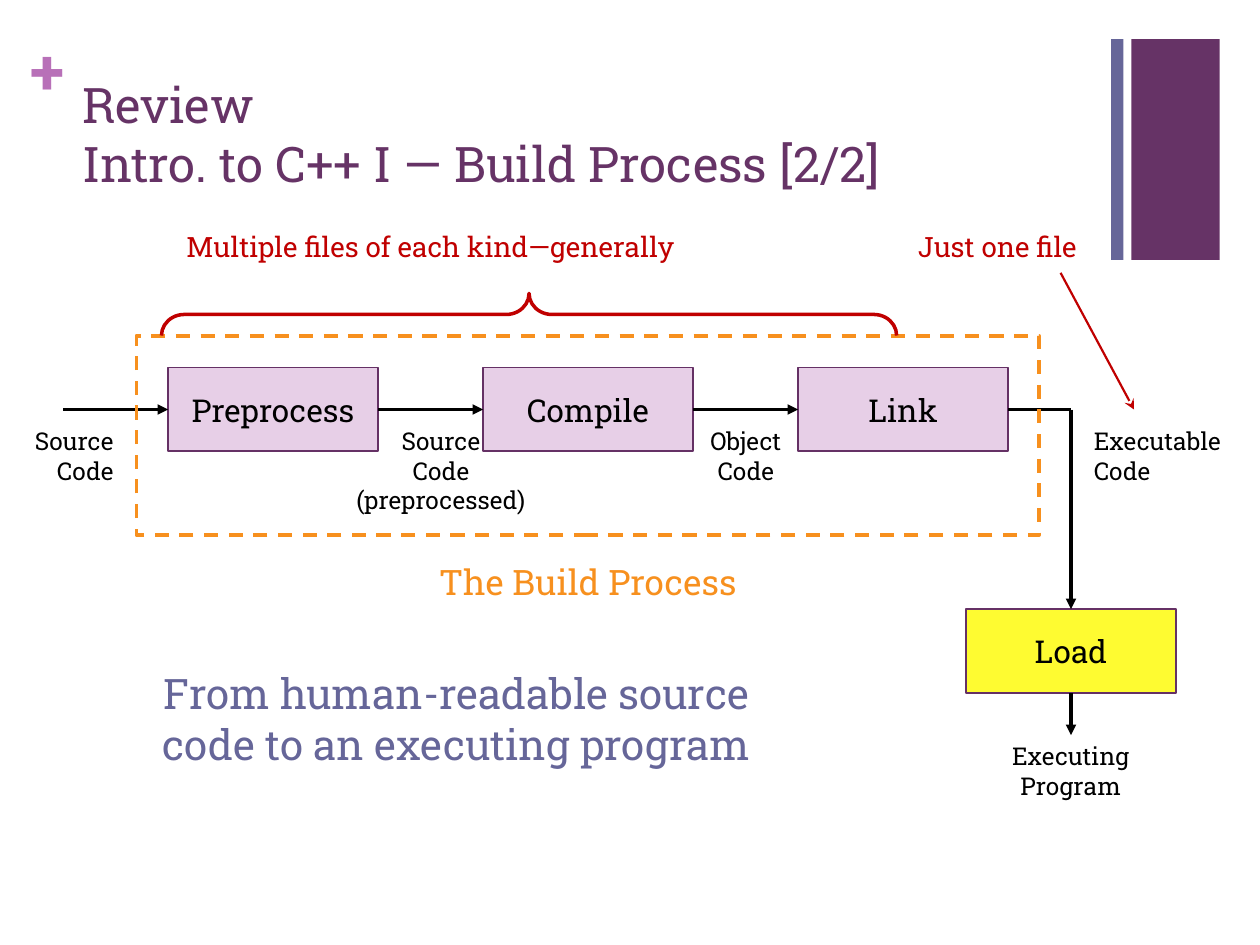
from dataclasses import dataclass

import lxml.etree
import pptx
import pptx.dml.color
import pptx.enum.dml
import pptx.enum.shapes
import pptx.enum.text
import pptx.oxml.ns
import pptx.util

Cm = pptx.util.Cm
Pt = pptx.util.Pt
qn = pptx.oxml.ns.qn
Kind = pptx.enum.shapes.MSO_SHAPE
Align = pptx.enum.text.PP_ALIGN
Anchor = pptx.enum.text.MSO_ANCHOR

FONT = "Roboto Slab"
BLACK, PLUM, SLATE = "000000", "663366", "666699"
RED, GOLD, EDGE = "C00000", "F7901E", "653165"
WIDE, HIGH = 4.23, 1.69
ROW, FIRST, STEP = 7.41, 3.39, 6.35
MID = ROW + HIGH / 2
DROP, LOAD = 21.59, 12.28


@dataclass
class Box:
    x: float
    y: float
    w: float
    h: float


@dataclass
class Label:
    text: str
    box: Box
    size: float = 14
    color: str = BLACK
    align: Align = Align.CENTER


@dataclass
class Step:
    text: str
    x: float
    y: float
    fill: str


@dataclass
class Arrow:
    x1: float
    y1: float
    x2: float
    y2: float
    tip: str = "triangle"
    color: str = BLACK
    width: float = 2


def paint(target, color: str) -> None:
    target.rgb = pptx.dml.color.RGBColor.from_string(color)


def place(box: Box) -> list:
    return [Cm(box.x), Cm(box.y), Cm(box.w), Cm(box.h)]


def write(frame, text: str, size: float, color: str, align: Align, bold: bool = False) -> None:
    frame.text = text
    frame.word_wrap = True
    for para in frame.paragraphs:
        para.alignment = align
        for run in para.runs:
            run.font.name = FONT
            run.font.size = Pt(size)
            run.font.bold = bold
            paint(run.font.color, color)
        for gap in para._p.findall(qn("a:br")):
            lxml.etree.SubElement(gap, qn("a:rPr")).set("sz", str(size * 100))


def add_shape(slide, kind: Kind, box: Box, fill: str = "", line: str = "", width: float = 1):
    shape = slide.shapes.add_shape(kind, *place(box))
    shape.shadow.inherit = False
    if fill:
        shape.fill.solid()
        paint(shape.fill.fore_color, fill)
    else:
        shape.fill.background()
    if line:
        paint(shape.line.color, line)
        shape.line.width = Pt(width)
    else:
        shape.line.fill.background()
    return shape


def add_step(slide, step: Step) -> None:
    box = Box(step.x, step.y, WIDE, HIGH)
    shape = add_shape(slide, Kind.RECTANGLE, box, step.fill, EDGE)
    write(shape.text_frame, step.text, 18, BLACK, Align.CENTER)
    shape.text_frame.vertical_anchor = Anchor.MIDDLE


def add_label(slide, label: Label) -> None:
    frame = slide.shapes.add_textbox(*place(label.box)).text_frame
    write(frame, label.text, label.size, label.color, label.align)


def add_arrow(slide, arrow: Arrow) -> None:
    line = slide.shapes.add_connector(
        pptx.enum.shapes.MSO_CONNECTOR.STRAIGHT,
        Cm(arrow.x1), Cm(arrow.y1), Cm(arrow.x2), Cm(arrow.y2))
    paint(line.line.color, arrow.color)
    line.line.width = Pt(arrow.width)
    if arrow.tip:
        tail = lxml.etree.SubElement(line.line._get_or_add_ln(), qn("a:tailEnd"))
        tail.set("type", arrow.tip)
    lxml.etree.SubElement(line._element.spPr, qn("a:effectLst"))


def add_frame(slide) -> None:
    add_shape(slide, Kind.RECTANGLE, Box(22.81, 0.79, 1.78, 4.45), PLUM)
    add_shape(slide, Kind.RECTANGLE, Box(22.4, 0.79, 0.25, 4.45), SLATE)
    plus = slide.shapes.add_textbox(*place(Box(0.61, 0.64, 0.74, 1.55))).text_frame
    plus.margin_left = plus.margin_right = plus.margin_top = plus.margin_bottom = 0
    write(plus, "+", 36, "B870B8", Align.LEFT, True)
    title = slide.shapes.title
    title.left, title.top, title.width, title.height = place(Box(1.4, 1.35, 20.98, 2.67))
    write(title.text_frame, "Review\vIntro. to C++ I — Build Process [2/2]", 28, PLUM, Align.LEFT)
    title.text_frame.auto_size = pptx.enum.text.MSO_AUTO_SIZE.NONE
    title.text_frame.vertical_anchor = Anchor.MIDDLE


def main() -> None:
    deck = pptx.Presentation()
    deck.slide_width, deck.slide_height = Cm(25.4), Cm(19.05)
    slide = deck.slides.add_slide(deck.slide_layouts[5])
    add_frame(slide)

    for i, name in enumerate(["Preprocess", "Compile", "Link"]):
        x = FIRST + i * STEP
        add_step(slide, Step(name, x, ROW, "E7CFE7"))
        add_arrow(slide, Arrow(x - STEP + WIDE, MID, x, MID))
    add_step(slide, Step("Load", DROP - WIDE / 2, LOAD, "FEFB31"))

    end = FIRST + 2 * STEP + WIDE
    for arrow in [
        Arrow(end, MID, DROP, MID, ""),
        Arrow(DROP, MID, DROP, LOAD),
        Arrow(DROP, LOAD + HIGH, DROP, 14.82),
        Arrow(21.38, 5.5, 22.86, MID, "stealth", RED, 1.25),
    ]:
        add_arrow(slide, arrow)

    build = add_shape(slide, Kind.RECTANGLE, Box(2.75, 6.77, 18.2, 4.02), line=GOLD, width=2)
    build.line.dash_style = pptx.enum.dml.MSO_LINE.DASH
    brace = add_shape(slide, Kind.LEFT_BRACE, Box(10.24, -1.07, 0.85, 14.82), line=RED, width=2)
    brace.rotation = 90
    brace.adjustments[0] = 0.54

    for label in [
        Label("Source Code", Box(0.21, 8.47, 2.33, 1.45), align=Align.RIGHT),
        Label("Source\vCode\n(preprocessed)", Box(6.56, 8.47, 4.66, 2.05)),
        Label("Object\vCode", Box(13.34, 8.47, 3.39, 1.45)),
        Label("Executable\vCode", Box(21.8, 8.47, 3.39, 1.45), align=Align.LEFT),
        Label("Executing Program", Box(19.47, 14.82, 4.23, 1.45)),
        Label("The Build Process", Box(8.47, 11.18, 6.77, 1.11), 20, GOLD),
        Label("From human-readable source code to an executing program",
              Box(2.96, 13.34, 12.5, 2.31), 24, SLATE),
        Label("Multiple files of each kind—generally", Box(3.18, 4.5, 11, 0.94), 16, RED),
        Label("Just one file", Box(18.2, 4.5, 3.81, 0.94), 16, RED),
    ]:
        add_label(slide, label)

    deck.save("out.pptx")


if __name__ == "__main__":
    main()
